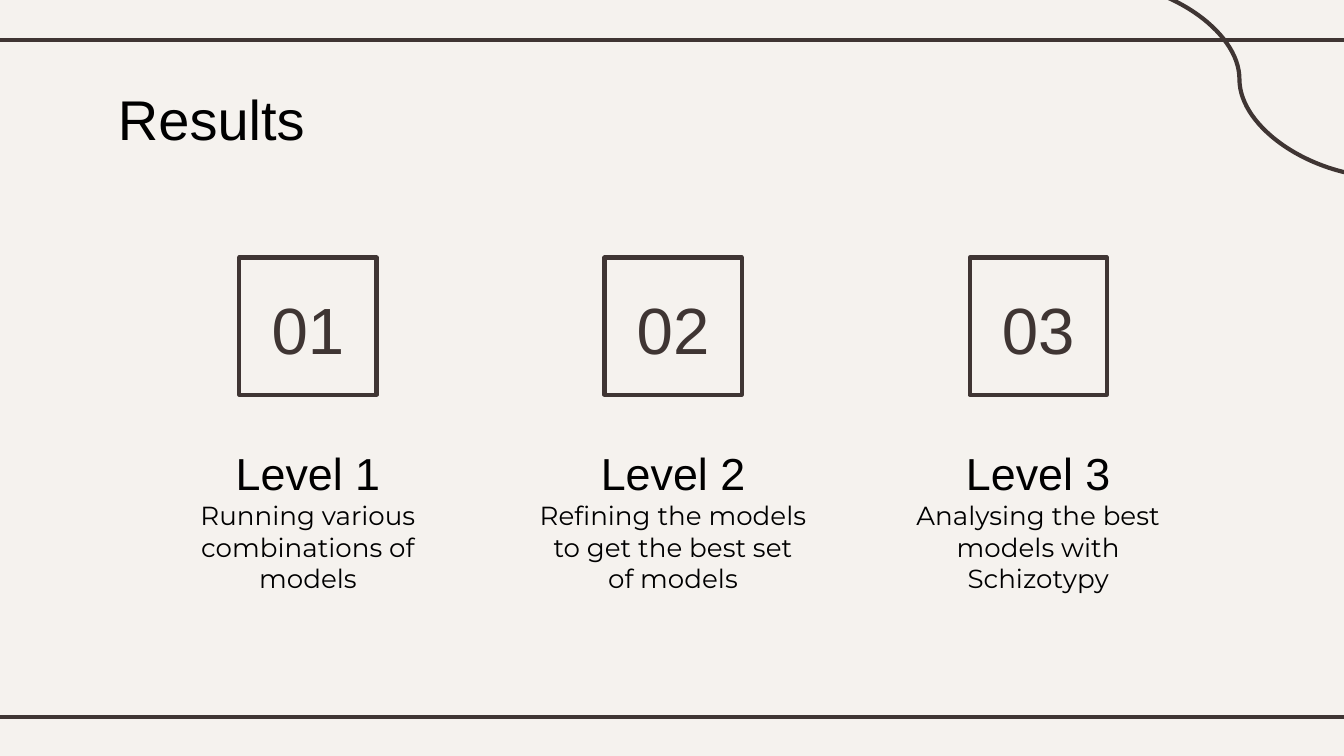
from lxml import etree
from pptx import Presentation
from pptx import util as u
from pptx.dml import color
from pptx.enum import shapes, text
from pptx.oxml import ns

INK, PAPER, BLACK = "3F3533", "F5F2EE", "000000"


def rgb(value):
    return color.RGBColor.from_string(value)


def write(box, words, size=14, font="Arial", ink=BLACK, top=10,
          align=text.PP_ALIGN.CENTER, anchor=text.MSO_ANCHOR.TOP):
    frame = box.text_frame
    frame.word_wrap = True
    frame.auto_size = text.MSO_AUTO_SIZE.NONE
    frame.vertical_anchor = anchor
    frame.margin_left = frame.margin_right = frame.margin_bottom = u.Pt(7.2)
    frame.margin_top = u.Pt(top)
    para = frame.paragraphs[0]
    para.alignment = align
    span = para.add_run()
    span.text = words
    span.font.size = u.Pt(size)
    span.font.name = font
    span.font.color.rgb = rgb(ink)


deck = Presentation()
deck.slide_width, deck.slide_height = u.Pt(720), u.Pt(405)
page = deck.slides.add_slide(deck.slide_layouts[5])
page.background.fill.solid()
page.background.fill.fore_color.rgb = rgb(PAPER)

straight, curve = shapes.MSO_CONNECTOR.STRAIGHT, shapes.MSO_CONNECTOR.CURVE
for kind, *ends in [
    (straight, -6, 21.5, 726, 21.5),
    (straight, -6, 384, 726, 384),
    (curve, 585.5, -10, 742.5, 95),
]:
    line = page.shapes.add_connector(kind, *[u.Pt(end) for end in ends])
    line.line.color.rgb = rgb(INK)
    line.line.width = u.Pt(2.25)
    etree.SubElement(line.element.spPr, ns.qn("a:effectLst"))

title = page.shapes.title
title.left, title.top = u.Pt(56), u.Pt(35.4)
title.width, title.height = u.Pt(434), u.Pt(45)
write(title, "Results", size=30, align=text.PP_ALIGN.LEFT)

levels = [
    "Running various combinations of models",
    "Refining the models to get the best set of models",
    "Analysing the best models with Schizotypy",
]
for index, summary in enumerate(levels):
    number = index + 1
    center = 165 + 195.6 * index

    group = page.shapes.add_group_shape()
    square = group.shapes.add_shape(
        shapes.MSO_SHAPE.RECTANGLE, u.Pt(center - 36.75), u.Pt(138), u.Pt(73.5), u.Pt(73.5))
    square.shadow.inherit = False
    square.fill.solid()
    square.fill.fore_color.rgb = rgb(PAPER)
    square.line.color.rgb = rgb(INK)
    square.line.width = u.Pt(2.25)
    etree.SubElement(square.element.spPr.find(ns.qn("a:ln")), ns.qn("a:round"))
    label = group.shapes.add_textbox(u.Pt(center - 40), u.Pt(148.5), u.Pt(80), u.Pt(52.5))
    write(label, f"{number:02}", size=35, ink=INK, anchor=text.MSO_ANCHOR.MIDDLE)

    left, width = u.Pt(center - 79.2), u.Pt(158.4)
    heading = page.shapes.add_textbox(left, u.Pt(229), width, u.Pt(39))
    write(heading, f"Level {number}", size=24)
    body = page.shapes.add_textbox(left, u.Pt(260.6), width, u.Pt(45.4))
    write(body, summary, font="Montserrat", top=7.2)

deck.save("out.pptx")
